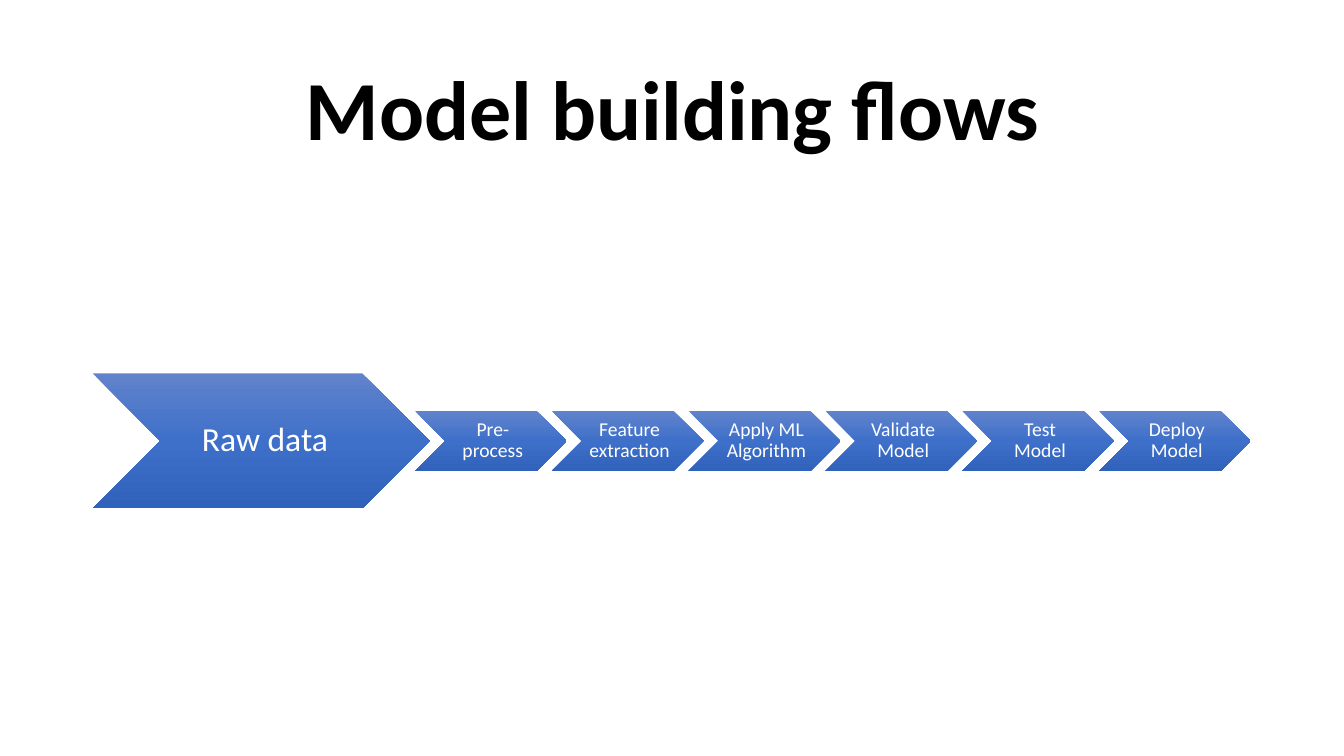
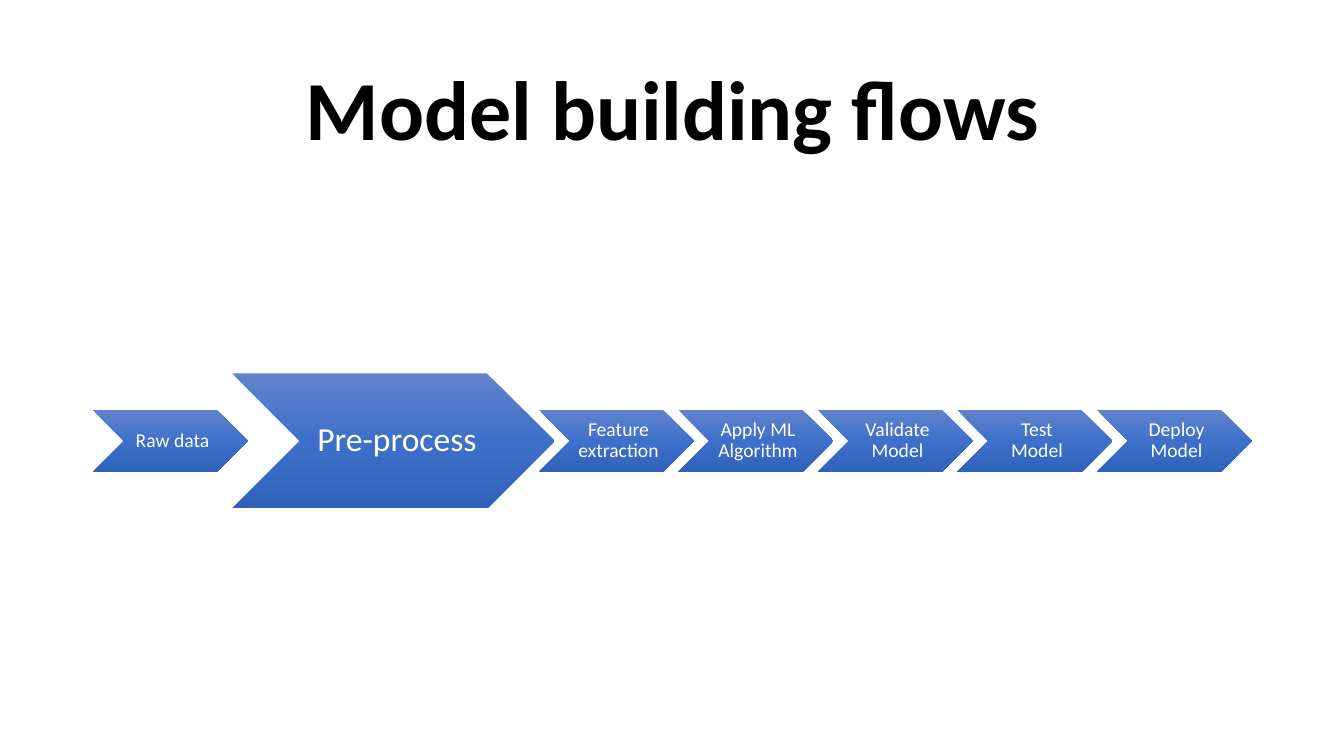
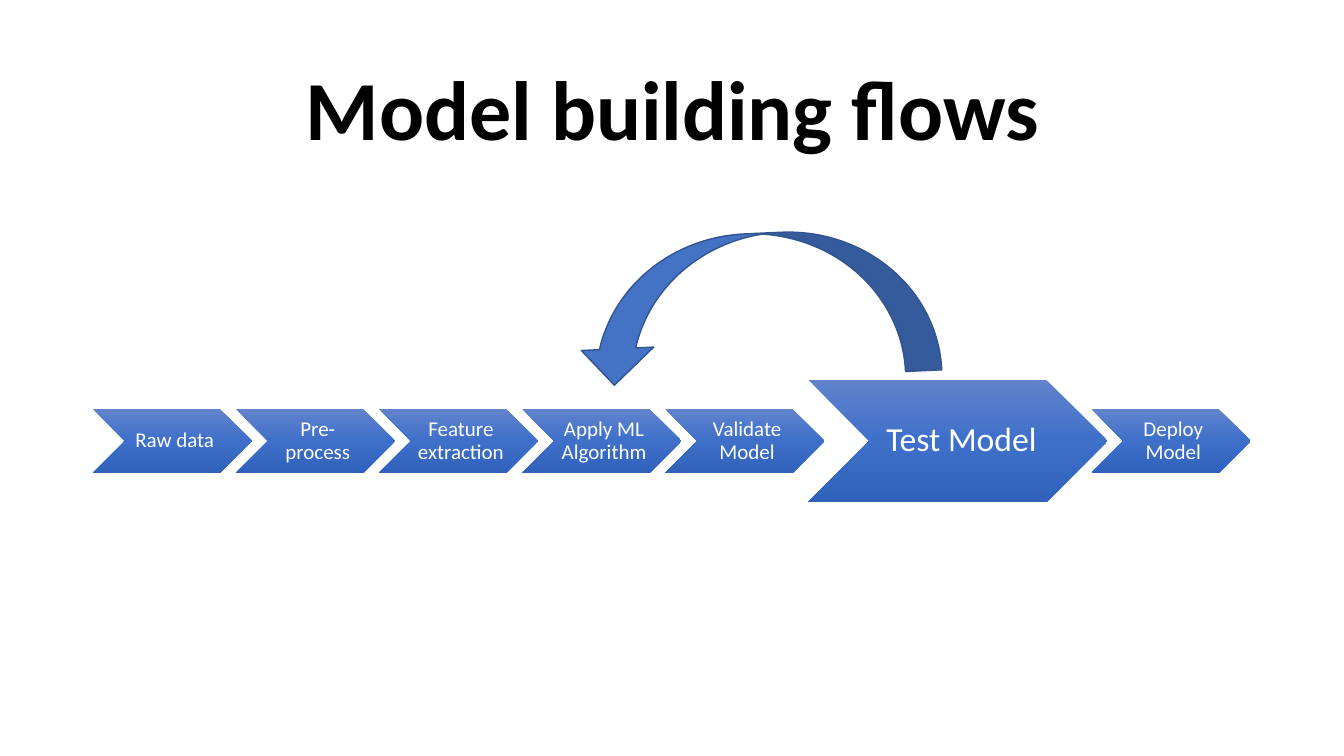
from copy import deepcopy
from dataclasses import dataclass

from pptx import Presentation
from pptx import util as u
from pptx.dml.color import RGBColor
from pptx.enum import shapes, text
from pptx.oxml.ns import qn


@dataclass(frozen=True)
class Theme:
    """Colours, type and proportions shared by the slides."""
    font: str = "Calibri"
    title_size: int = 60
    focus_size: int = 24
    line_spacing: float = 0.9
    title_ink: str = "000000"
    step_ink: str = "FFFFFF"
    gradient: tuple = ("6183CB", "3E70CA", "3062BB")
    loop_fill: str = "4472C4"
    loop_line: str = "325491"
    lead_inset: float = 0.32
    side_inset: float = 0.11
    step_ratio: float = 0.4
    overlap: float = 0.1


THEME = Theme()
SCALE = 914400 / 100.8
SLIDE_SIZE = (1344, 756)
TITLE_BOX = (93, 40, 1159, 146)
FLOW_BOX = (93, 373, 1159, 136)
LOOP_BOX = (684, 124, 145, 364)
LOOP_TURN = 87.3
TITLE = "Model building flows"
STEPS = ("Raw data", "Pre-process", "Feature extraction", "Apply ML Algorithm",
         "Validate Model", "Test Model", "Deploy Model")


def px(length):
    """Turn pixels into EMU."""
    return u.Emu(round(length * SCALE))


def rgb(code):
    """Turn a hex code into a colour."""
    return RGBColor.from_string(code)


def write(frame, wording, size, ink, bold=False):
    """Write one centred paragraph in the middle of a frame."""
    frame.text = wording
    frame.word_wrap = True
    frame.auto_size = text.MSO_AUTO_SIZE.NONE
    frame.vertical_anchor = text.MSO_ANCHOR.MIDDLE
    line = frame.paragraphs[0]
    line.alignment = text.PP_ALIGN.CENTER
    line.line_spacing = THEME.line_spacing
    line.font.name = THEME.font
    line.font.size = u.Pt(size)
    line.font.bold = bold
    line.font.color.rgb = rgb(ink)


def shade(chevron):
    """Fill a chevron with the three-stop gradient from top to bottom."""
    fill = chevron.fill
    fill.gradient()
    fill.gradient_angle = 270
    stop_list = chevron.element.spPr.find(".//" + qn("a:gsLst"))
    stop_list.append(deepcopy(stop_list[-1]))
    for index, (stop, code) in enumerate(zip(fill.gradient_stops, THEME.gradient)):
        stop.position = index / 2
        stop.color.rgb = rgb(code)


def add_title(slide, box):
    """Place and format the slide title."""
    title = slide.shapes.title
    title.left, title.top, title.width, title.height = map(px, box)
    write(title.text_frame, TITLE, THEME.title_size, THEME.title_ink, bold=True)


def add_step(slide, box, wording, size):
    """Add one labelled chevron."""
    chevron = slide.shapes.add_shape(shapes.MSO_SHAPE.CHEVRON, *map(px, box))
    chevron.shadow.inherit = False
    chevron.line.fill.background()
    shade(chevron)
    frame = chevron.text_frame
    frame.margin_left = u.Pt(size * THEME.lead_inset)
    frame.margin_right = frame.margin_top = frame.margin_bottom = u.Pt(size * THEME.side_inset)
    write(frame, wording, size, THEME.step_ink)


def add_flow(slide, box, focus, focus_size, step_width, step_type):
    """Chain the steps from left to right, with the step in focus enlarged."""
    left, top, _, height = box
    step_size = (step_width, step_width * THEME.step_ratio)
    for wording in STEPS:
        in_focus = wording == focus
        wide, high = focus_size if in_focus else step_size
        step_box = (left, top + (height - high) / 2, wide, high)
        add_step(slide, step_box, wording, THEME.focus_size if in_focus else step_type)
        left += wide - step_width * THEME.overlap


def add_loop(slide, box):
    """Add the curved arrow that leads back to an earlier step."""
    loop = slide.shapes.add_shape(shapes.MSO_SHAPE.CURVED_RIGHT_ARROW, *map(px, box))
    loop.rotation = LOOP_TURN
    loop.shadow.inherit = False
    loop.fill.solid()
    loop.fill.fore_color.rgb = rgb(THEME.loop_fill)
    loop.line.color.rgb = rgb(THEME.loop_line)
    loop.line.width = u.Pt(1)


def flow_slide(deck, focus, focus_size, step_width, step_type):
    """Add a titled slide that shows the flow with one step in focus."""
    slide = deck.slides.add_slide(deck.slide_layouts.get_by_name("Title Only"))
    add_title(slide, TITLE_BOX)
    add_flow(slide, FLOW_BOX, focus, focus_size, step_width, step_type)
    return slide


def main():
    """Build and save the deck."""
    deck = Presentation()
    deck.slide_width, deck.slide_height = map(px, SLIDE_SIZE)
    flow_slide(deck, "Raw data", (337, 135), 152, 14)
    flow_slide(deck, "Pre-process", (322, 135), 155, 14)
    testing = flow_slide(deck, "Test Model", (299, 122), 159, 15)
    add_loop(testing, LOOP_BOX)
    deck.save("out.pptx")


main()
